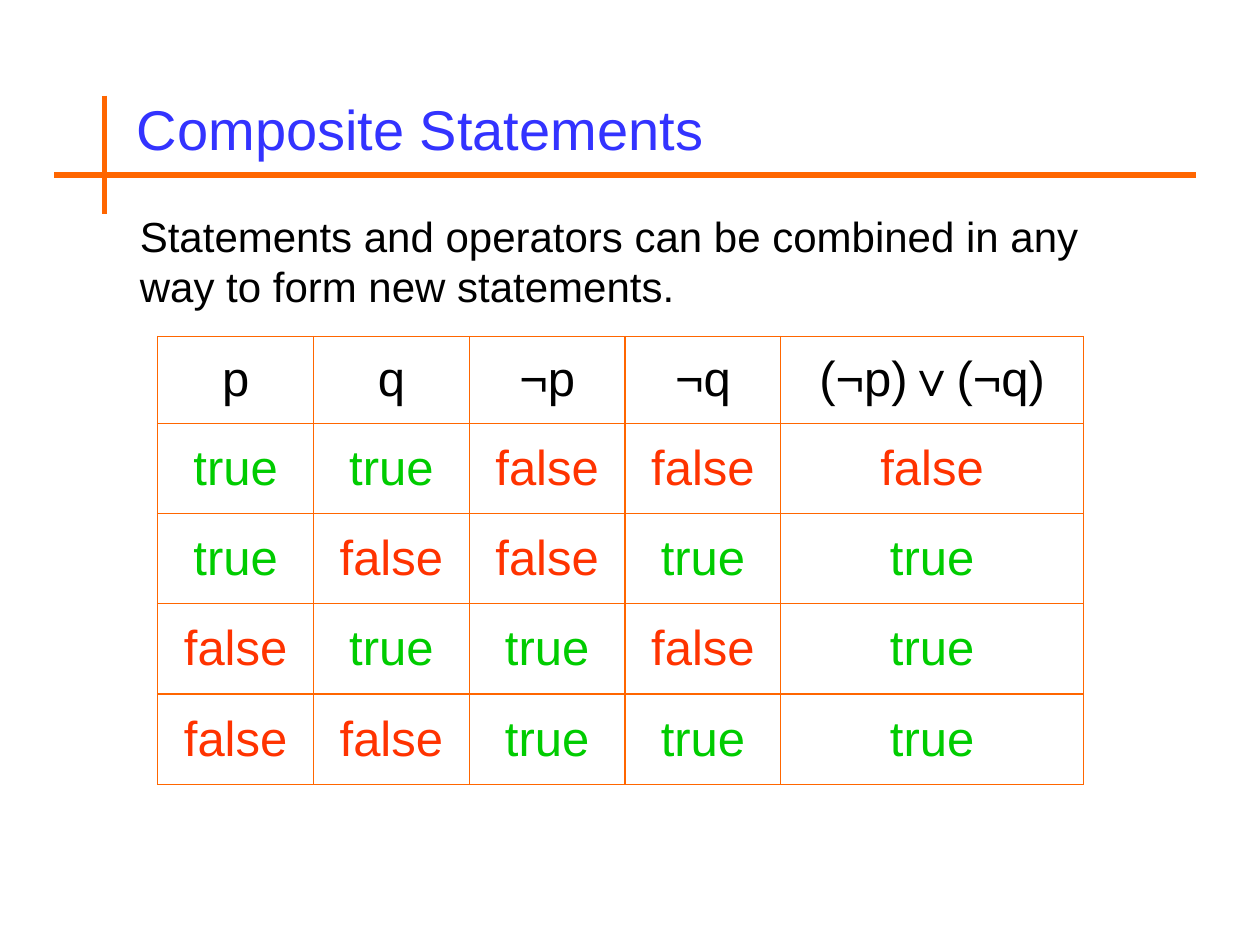
from dataclasses import dataclass
from itertools import product

from lxml import etree
from pptx import Presentation
from pptx.dml.color import RGBColor as Rgb
from pptx.enum import shapes, text
from pptx.oxml import ns
from pptx.util import Cm, Pt


@dataclass(frozen=True)
class Theme:
    font: str = "Arial"
    title: str = "3333FF"
    ink: str = "000000"
    accent: str = "FF6600"
    true: str = "00CC00"
    false: str = "FF3300"
    big: int = 32
    mid: int = 28
    small: int = 24
    rule: float = 3
    grid: float = 0.75


THEME = Theme()


def style(para, size, color, before=0):
    para.font.name = THEME.font
    para.font.size = Pt(size)
    para.font.color.rgb = Rgb.from_string(color)
    para.space_before = Pt(before)


def label(slide, box, words, size, color, anchor, before=0):
    frame = slide.shapes.add_textbox(*map(Cm, box)).text_frame
    frame.word_wrap = True
    frame.vertical_anchor = anchor
    frame.text = words
    style(frame.paragraphs[0], size, color, before)


def rule(slide, *ends):
    line = slide.shapes.add_connector(
        shapes.MSO_CONNECTOR.STRAIGHT, *map(Cm, ends))
    line.line.color.rgb = Rgb.from_string(THEME.accent)
    line.line.width = Pt(THEME.rule)
    etree.SubElement(line._element.spPr, ns.qn("a:effectLst"))


def header(slide, box, words):
    """Title above two crossing rules."""
    x, y, w, h = box
    label(slide, (x + 1.42, y - 0.3, 14.2, 1.9), words, THEME.big,
          THEME.title, text.MSO_ANCHOR.MIDDLE)
    rule(slide, x, y + 1.6, x + w, y + 1.6)
    rule(slide, x + 1.02, y, x + 1.02, y + h)


def border(cell):
    props = cell._tc.get_or_add_tcPr()
    for side in ("lnL", "lnR", "lnT", "lnB"):
        line = etree.SubElement(props, ns.qn(f"a:{side}"),
                                w=str(Pt(THEME.grid)))
        fill = etree.SubElement(line, ns.qn("a:solidFill"))
        etree.SubElement(fill, ns.qn("a:srgbClr"), val=THEME.accent)


def fill_cell(cell, value):
    if isinstance(value, bool):
        words = str(value).lower()
        color = THEME.true if value else THEME.false
    else:
        words, color = value, THEME.ink
    cell.text = words
    cell.vertical_anchor = text.MSO_ANCHOR.MIDDLE
    cell.margin_left = cell.margin_right = Cm(0.25)
    cell.margin_top = cell.margin_bottom = Cm(0.13)
    para = cell.text_frame.paragraphs[0]
    para.alignment = text.PP_ALIGN.CENTER
    style(para, THEME.mid, color, 7)
    border(cell)
    cell.fill.background()


def truth_table(slide, box, heads, rows):
    x, y, w, h = box
    grid = [heads, *rows]
    table = slide.shapes.add_table(
        len(grid), len(heads), *map(Cm, box)).table
    table.first_row = table.horz_banding = False
    last, top = 6.1, 1.75
    for col in table.columns:
        col.width = Cm((w - last) / (len(heads) - 1))
    table.columns[len(heads) - 1].width = Cm(last)
    for row in table.rows:
        row.height = Cm((h - top) / len(rows))
    table.rows[0].height = Cm(top)
    for r, values in enumerate(grid):
        for c, value in enumerate(values):
            fill_cell(table.cell(r, c), value)


def main():
    deck = Presentation()
    deck.slide_width, deck.slide_height = Cm(25.4), Cm(19.05)
    slide = deck.slides.add_slide(deck.slide_layouts[6])
    header(slide, (1.09, 1.93, 23.01, 2.39), "Composite Statements")
    label(slide, (2.57, 4.11, 20.75, 2.34),
          "Statements and operators can be combined in any way "
          "to form new statements.",
          THEME.small, THEME.ink, text.MSO_ANCHOR.TOP, 6)
    rows = [(p, q, not p, not q, not p or not q)
            for p, q in product((True, False), repeat=2)]
    truth_table(slide, (3.18, 6.78, 18.66, 9.03),
                ("p", "q", "¬p", "¬q", "(¬p)∨(¬q)"), rows)
    deck.save("out.pptx")


if __name__ == "__main__":
    main()
